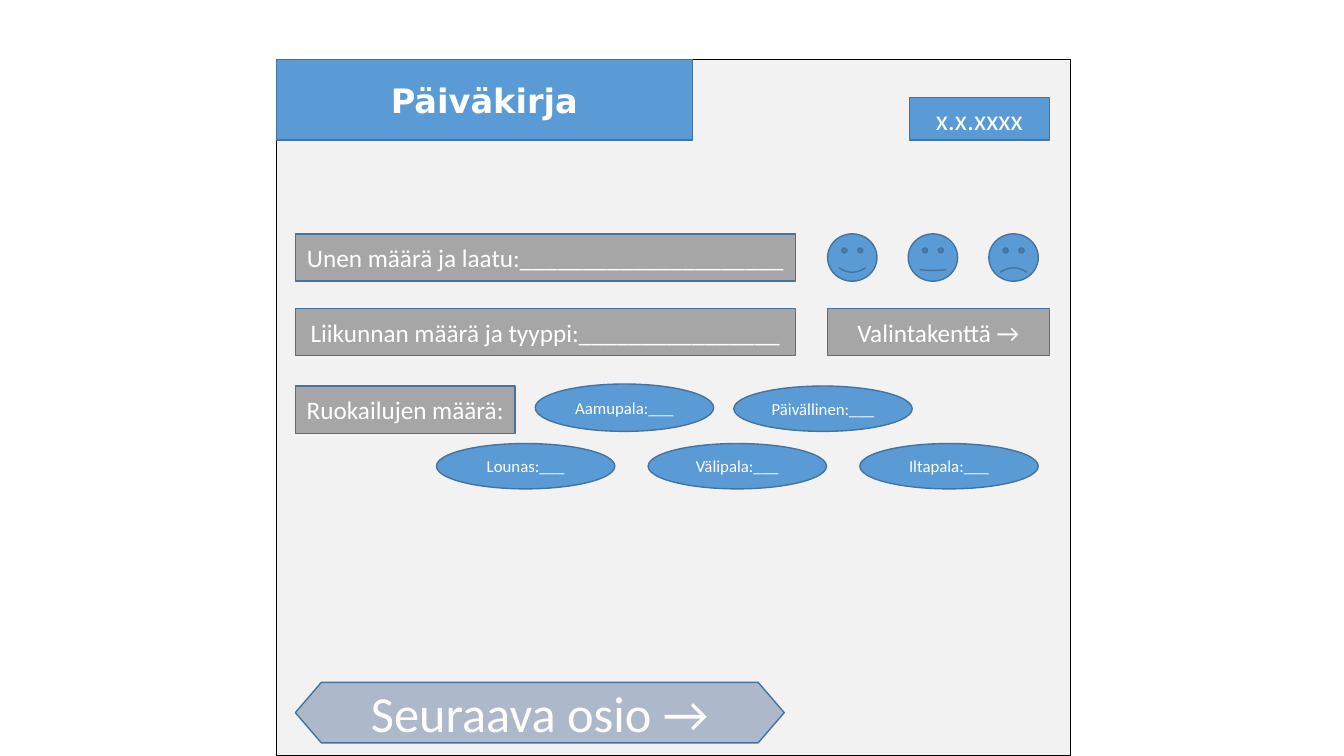
from lxml.etree import SubElement
from pptx import Presentation
from pptx.dml.color import RGBColor
from pptx.enum.shapes import MSO_SHAPE
from pptx.enum.text import MSO_ANCHOR, MSO_AUTO_SIZE, PP_ALIGN
from pptx.oxml.ns import qn
from pptx.util import Inches, Pt

WHITE = RGBColor(0xFF, 0xFF, 0xFF)
BLACK = RGBColor(0x00, 0x00, 0x00)
BLUE = RGBColor(0x5B, 0x9B, 0xD5)
DARK_BLUE = RGBColor(0x43, 0x73, 0x9E)
GREY = RGBColor(0xA6, 0xA6, 0xA6)
PALE_GREY = RGBColor(0xF2, 0xF2, 0xF2)
BLUE_GREY = RGBColor(0xAD, 0xB9, 0xCA)

# Grid cells are a tenth of an inch; every box is (column, row, columns, rows).
CELL = Inches(0.1)
SLIDE_COLUMNS, SLIDE_ROWS = 133.33, 75
PANEL_LEFT, PANEL_TOP = 27.4, 5.9
FORM_LEFT, CHOICE_LEFT = 29.3, 82.1
SLEEP_ROW, EXERCISE_ROW, MEAL_ROW, LOWER_MEAL_ROW = 23.2, 30.6, 38.3, 44
FIELD_HEIGHT, FIELD_WIDTH = 4.7, 49.6
MEAL_WIDTH, MEAL_HEIGHT = 17.7, 4.5
FACE_WIDTH, FACE_STEP = 4.9, 8
MOUTH_CURVES = (0.047, 0.007, -0.047)

FIELDS = [
    ("Unen määrä ja laatu:" + "_" * 21, FORM_LEFT, SLEEP_ROW, FIELD_WIDTH),
    ("Liikunnan määrä ja tyyppi:" + "_" * 16, FORM_LEFT, EXERCISE_ROW, FIELD_WIDTH),
    ("Valintakenttä →", CHOICE_LEFT, EXERCISE_ROW, 22),
    ("Ruokailujen määrä:", FORM_LEFT, MEAL_ROW, 21.8),
]
MEALS = [
    ("Aamupala", 53.1, 38.1, 4.7),
    ("Päivällinen", 72.8, MEAL_ROW, MEAL_HEIGHT),
    ("Lounas", 43.3, LOWER_MEAL_ROW, MEAL_HEIGHT),
    ("Välipala", 64.3, LOWER_MEAL_ROW, MEAL_HEIGHT),
    ("Iltapala", 85.3, LOWER_MEAL_ROW, MEAL_HEIGHT),
]


def set_attributes(target, values):
    """Set each named attribute of the target."""
    for name, value in values.items():
        setattr(target, name, value)


class DiaryPage:
    """The diary slide and its shared style."""

    def __init__(self, slide):
        """Keep the slide that is being filled."""
        self.slide = slide
        self.font = {"name": "Calibri", "bold": False}
        self.frame = {
            "word_wrap": True,
            "auto_size": MSO_AUTO_SIZE.NONE,
            "vertical_anchor": MSO_ANCHOR.MIDDLE,
        }

    def paint(self, shape, fill, line=DARK_BLUE):
        """Give a shape a solid fill and a thin outline."""
        shape.fill.solid()
        shape.fill.fore_color.rgb = fill
        shape.line.color.rgb = line
        shape.line.width = Pt(1)

    def add_text(self, shape, text, size, **font):
        """Put centred white text into a shape."""
        set_attributes(shape.text_frame, self.frame)
        paragraph = shape.text_frame.paragraphs[0]
        paragraph.alignment = PP_ALIGN.CENTER
        run = paragraph.add_run()
        run.text = text
        set_attributes(run.font, {**self.font, "size": Pt(size), **font})
        run.font.color.rgb = WHITE

    def shape(self, kind, box, fill, line=DARK_BLUE, adjustments=()):
        """Add a painted preset shape on the grid."""
        shape = self.slide.shapes.add_shape(kind, *(round(n * CELL) for n in box))
        shape.shadow.inherit = False
        for index, value in enumerate(adjustments):
            shape.adjustments[index] = value
        self.paint(shape, fill, line)
        return shape

    def label(self, kind, box, fill, text, size, adjustments=()):
        """Add a preset shape with text."""
        self.add_text(self.shape(kind, box, fill, adjustments=adjustments), text, size)

    def title(self, box, text):
        """Turn the title placeholder into a banner with two cut corners."""
        title = self.slide.shapes.title
        names = ("left", "top", "width", "height")
        set_attributes(title, {n: round(v * CELL) for n, v in zip(names, box)})
        properties = title.element.spPr
        geometry = SubElement(properties, qn("a:prstGeom"), prst="snip2DiagRect")
        guides = SubElement(geometry, qn("a:avLst"))
        for name, value in (("adj1", 0), ("adj2", 50000)):
            SubElement(guides, qn("a:gd"), name=name, fmla=f"val {value}")
        self.paint(title, BLUE)
        self.add_text(title, text, 24, name="DejaVu Sans", bold=True)
        title.element.getparent().append(title.element)

    def face(self, column, curve):
        """Add a mood face whose mouth follows the given curve."""
        box = (column, SLEEP_ROW, FACE_WIDTH, FIELD_HEIGHT)
        self.shape(MSO_SHAPE.SMILEY_FACE, box, BLUE, adjustments=[curve])


def build():
    """Build and save the diary slide."""
    presentation = Presentation()
    presentation.slide_width = round(SLIDE_COLUMNS * CELL)
    presentation.slide_height = SLIDE_ROWS * CELL
    title_only = presentation.slide_layouts[5]
    page = DiaryPage(presentation.slides.add_slide(title_only))

    panel = (PANEL_LEFT, PANEL_TOP, 78.8, SLIDE_ROWS - PANEL_TOP)
    page.shape(MSO_SHAPE.RECTANGLE, panel, PALE_GREY, BLACK)
    page.title((PANEL_LEFT, PANEL_TOP, 41.3, 8), "Päiväkirja")
    page.label(MSO_SHAPE.RECTANGLE, (90.2, 9.7, 13.9, 4.2), BLUE, "x.x.xxxx", 20)

    for text, column, row, width in FIELDS:
        box = (column, row, width, FIELD_HEIGHT)
        page.label(MSO_SHAPE.RECTANGLE, box, GREY, text, 18)
    for index, curve in enumerate(MOUTH_CURVES):
        page.face(CHOICE_LEFT + index * FACE_STEP, curve)
    for meal, column, row, height in MEALS:
        box = (column, row, MEAL_WIDTH, height)
        page.label(MSO_SHAPE.OVAL, box, BLUE, f"{meal}:___", 12)

    next_box = (FORM_LEFT, 67.7, 48.5, 6)
    page.label(MSO_SHAPE.HEXAGON, next_box, BLUE_GREY, "Seuraava osio →", 36, [0.43])
    presentation.save("out.pptx")


build()
